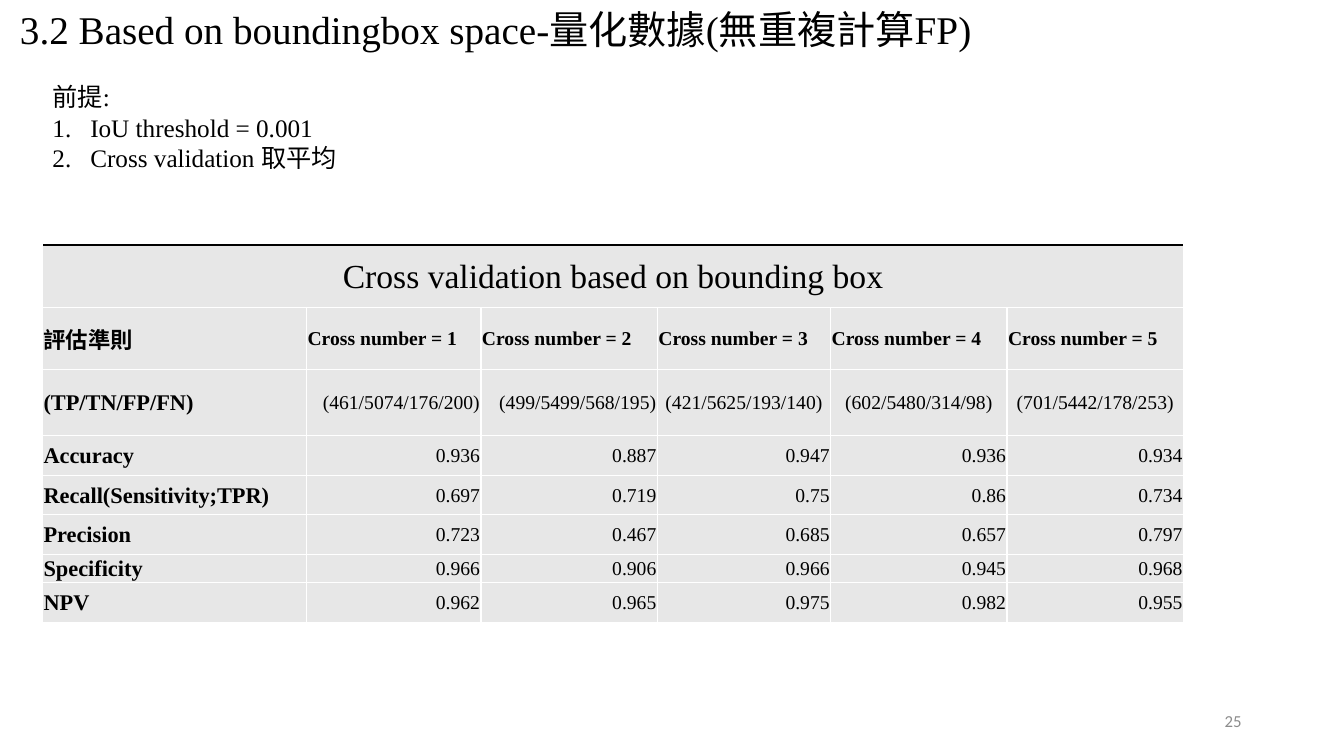
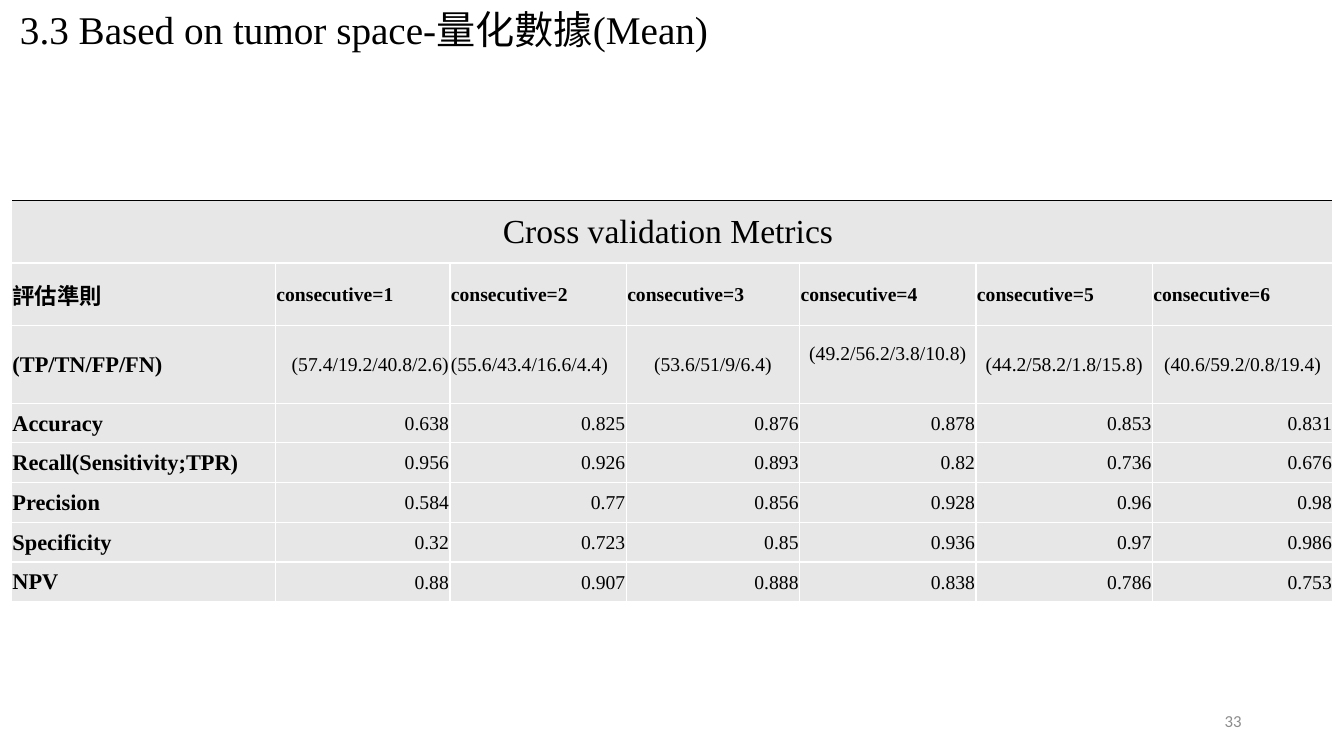
from lxml.etree import SubElement
from pptx import Presentation
from pptx.dml.color import RGBColor
from pptx.enum.text import MSO_ANCHOR, PP_ALIGN
from pptx.oxml import parse_xml
from pptx.oxml.ns import nsdecls, qn
from pptx.util import Pt

BLACK = RGBColor(0x00, 0x00, 0x00)
WHITE = RGBColor(0xFF, 0xFF, 0xFF)
GRAY = RGBColor(0x8C, 0x8C, 0x8C)
CELL_FILL = RGBColor(0xE7, 0xE7, 0xE7)
SERIF = "Times New Roman"
SANS = "Calibri"
LEFT, CENTER, RIGHT = PP_ALIGN.LEFT, PP_ALIGN.CENTER, PP_ALIGN.RIGHT

COLUMN_WIDTHS = [188.6, 124.6, 126, 123.8, 126, 126, 128.9]
BAND_ROW, METRIC_ROW = 44.6, 28.4
METRICS = ["Accuracy", "Recall(Sensitivity;TPR)", "Precision", "Specificity", "NPV"]

SLIDES = [
    {
        "title": "3.2 Based on boundingbox space-量化數據(無重複計算FP)",
        "number": "25",
        "premise": "前提:",
        "conditions": ["IoU threshold = 0.001", "Cross validation 取平均"],
        "table_at": (30.4, 175),
        "caption": "Cross validation based on bounding box",
        "heading": "Cross number = {}",
        "counts": [
            ("(461/5074/176/200)", RIGHT),
            ("(499/5499/568/195)", RIGHT),
            ("(421/5625/193/140)", CENTER),
            ("(602/5480/314/98)", CENTER),
            ("(701/5442/178/253)", CENTER),
        ],
        "values": [
            (0.936, 0.887, 0.947, 0.936, 0.934),
            (0.697, 0.719, 0.75, 0.86, 0.734),
            (0.723, 0.467, 0.685, 0.657, 0.797),
            (0.966, 0.906, 0.966, 0.945, 0.968),
            (0.962, 0.965, 0.975, 0.982, 0.955),
        ],
        "counts_height": 46.8,
        "specificity_height": 19.4,
        "raised": None,
    },
    {
        "title": "3.3 Based on tumor space-量化數據(Mean)",
        "number": "33",
        "premise": None,
        "conditions": [],
        "table_at": (8.2, 143.2),
        "caption": "Cross validation Metrics ",
        "heading": "consecutive={}",
        "counts": [
            ("(57.4/19.2/40.8/2.6)", RIGHT),
            ("(55.6/43.4/16.6/4.4)", LEFT),
            ("(53.6/51/9/6.4)", CENTER),
            ("(49.2/56.2/3.8/10.8)", CENTER),
            ("(44.2/58.2/1.8/15.8)", CENTER),
            ("(40.6/59.2/0.8/19.4)", CENTER),
        ],
        "values": [
            (0.638, 0.825, 0.876, 0.878, 0.853, 0.831),
            (0.956, 0.926, 0.893, 0.82, 0.736, 0.676),
            (0.584, 0.77, 0.856, 0.928, 0.96, 0.98),
            (0.32, 0.723, 0.85, 0.936, 0.97, 0.986),
            (0.88, 0.907, 0.888, 0.838, 0.786, 0.753),
        ],
        "counts_height": 55.6,
        "specificity_height": METRIC_ROW,
        "raised": 4,
    },
]


def write(para, text, size=14, bold=False, color=BLACK, font=SERIF,
          align=LEFT, indent=0, numbered=False):
    para.alignment = align
    if indent:
        properties = para._p.get_or_add_pPr()
        properties.set("marL", str(Pt(indent)))
        properties.set("indent", str(-Pt(indent) if numbered else 0))
        if numbered:
            SubElement(properties, qn("a:buAutoNum"), type="arabicPeriod")
    span = para.add_run()
    span.text = text
    span.font.size = Pt(size)
    span.font.bold = bold
    span.font.name = font
    span.font.color.rgb = color


def add_box(page, left, top, width, height, anchor=MSO_ANCHOR.TOP):
    box = page.shapes.add_textbox(Pt(left), Pt(top), Pt(width), Pt(height))
    frame = box.text_frame
    frame.word_wrap = True
    frame.vertical_anchor = anchor
    return frame


def style_cell(cell, top_color):
    cell.fill.solid()
    cell.fill.fore_color.rgb = CELL_FILL
    cell.vertical_anchor = MSO_ANCHOR.MIDDLE
    cell.margin_left = cell.margin_right = cell.margin_top = Pt(0.72)
    cell.margin_bottom = Pt(0)
    properties = cell._tc.get_or_add_tcPr()
    for place, side in enumerate("LRTB"):
        color = top_color if side == "T" else WHITE
        properties.insert(place, parse_xml(
            f'<a:ln{side} {nsdecls("a")} w="{Pt(1)}"><a:solidFill>'
            f'<a:srgbClr val="{color}"/></a:solidFill></a:ln{side}>'))


def add_metrics_table(page, content):
    counts = content["counts"]
    widths = COLUMN_WIDTHS[:len(counts) + 1]
    heights = [BAND_ROW, BAND_ROW, content["counts_height"]] + [
        content["specificity_height"] if name == "Specificity" else METRIC_ROW
        for name in METRICS]
    left, top = content["table_at"]
    table = page.shapes.add_table(
        len(heights), len(widths), Pt(left), Pt(top),
        Pt(sum(widths)), Pt(sum(heights))).table
    table.first_row = table.horz_banding = False
    for column, width in zip(table.columns, widths):
        column.width = Pt(width)
    for row, height in zip(table.rows, heights):
        row.height = Pt(height)

    headings = [(content["heading"].format(n), LEFT)
                for n in range(1, len(widths))]
    grid = [("評估準則", headings), ("(TP/TN/FP/FN)", counts)]
    grid += [(name, [(str(value), RIGHT) for value in values])
             for name, values in zip(METRICS, content["values"])]

    for r, row in enumerate(table.rows):
        for cell in row.cells:
            style_cell(cell, BLACK if r == 0 else WHITE)
    caption = table.cell(0, 0)
    caption.merge(table.cell(0, len(widths) - 1))
    write(caption.text_frame.paragraphs[0], content["caption"],
          size=24, align=CENTER)
    for r, (label, entries) in enumerate(grid, 1):
        write(table.cell(r, 0).text_frame.paragraphs[0], label,
              size=16, bold=True)
        for c, (text, align) in enumerate(entries, 1):
            write(table.cell(r, c).text_frame.paragraphs[0], text,
                  bold=r == 1, align=align)
    if content["raised"]:
        table.cell(2, content["raised"]).margin_bottom = Pt(16)


def add_page(deck, content):
    page = deck.slides.add_slide(deck.slide_layouts[6])
    number = add_box(page, 678, 500.5, 216, 28.8, MSO_ANCHOR.MIDDLE)
    write(number.paragraphs[0], content["number"], size=12, color=GRAY,
          font=SANS, align=RIGHT)
    title = add_box(page, -28.8, 0, 897.8, 41.2)
    write(title.paragraphs[0], content["title"], size=28, indent=36)
    if content["premise"]:
        premise = add_box(page, 30.4, 54.8, 831.6, 72.7)
        write(premise.paragraphs[0], content["premise"], size=18)
        for condition in content["conditions"]:
            write(premise.add_paragraph(), condition, size=18,
                  indent=27, numbered=True)
    add_metrics_table(page, content)


def main():
    deck = Presentation()
    deck.slide_width, deck.slide_height = Pt(960), Pt(540)
    for content in SLIDES:
        add_page(deck, content)
    deck.save("out.pptx")


if __name__ == "__main__":
    main()
